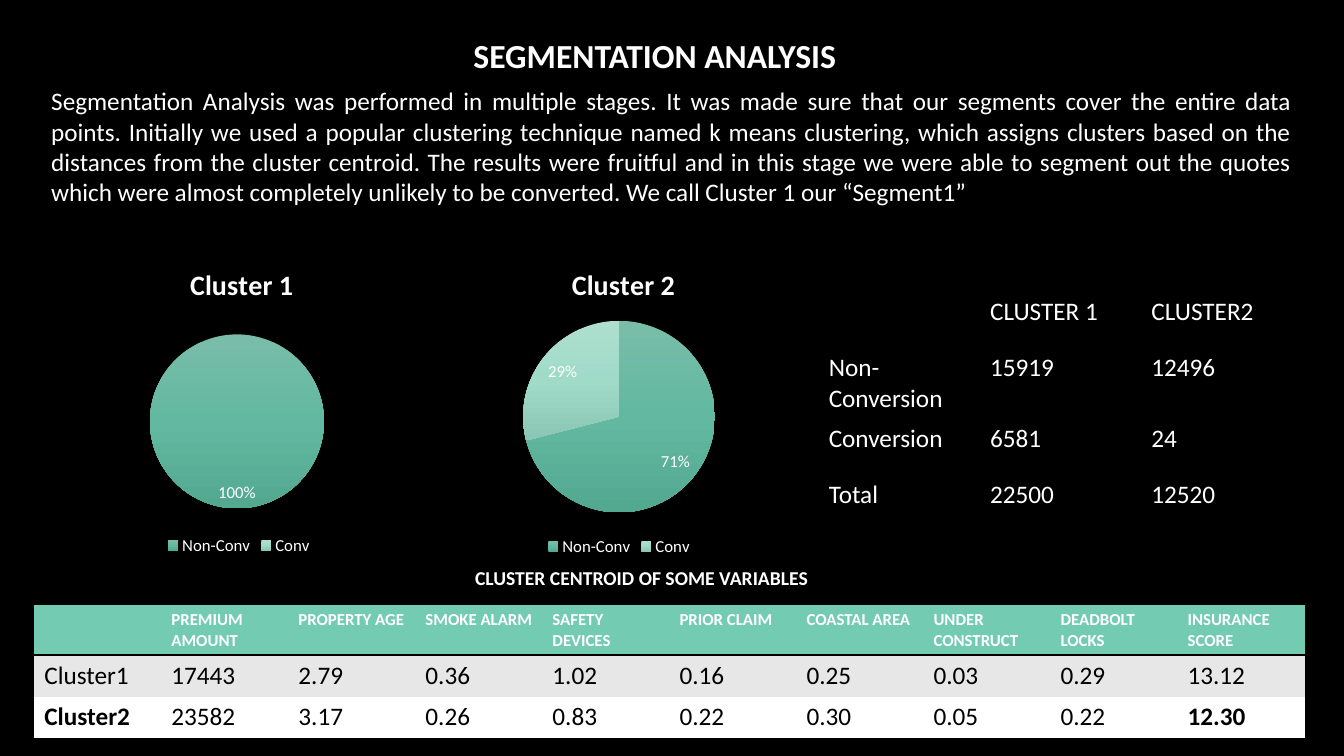
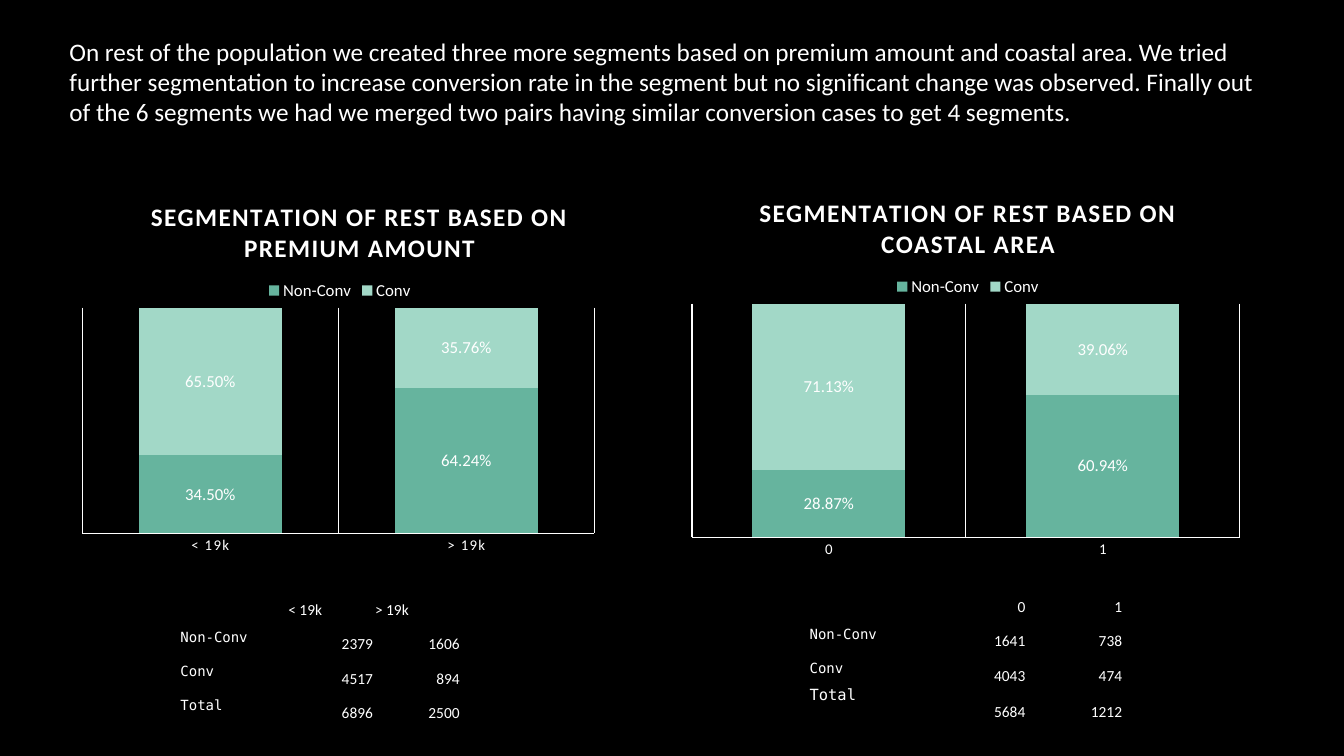
from copy import deepcopy
from lxml import etree
from pptx import Presentation
from pptx.chart.data import CategoryChartData
from pptx.dml.color import RGBColor
from pptx.enum import chart as ce, text as te
from pptx.oxml import ns
from pptx.util import Inches, Pt

# Shared look
FONT, MONO = "Calibri", "DejaVu Sans Mono"
WHITE, BLACK, MINT, GREY = "FFFFFF", "000000", "73CBB2", "E7E7E7"
GRADS = [("79BDA9", "62B8A0", "53A890"), ("AEDECE", "A0DBC8", "8AC6B3")]
BARS = ["66B49E", "A2D8C7"]
PLAIN = "{2D5ABB26-0587-4C30-8999-92F81FD0307C}"  # table style without grid
LEFT, MID, RIGHT, JUST = (te.PP_ALIGN.LEFT, te.PP_ALIGN.CENTER,
                          te.PP_ALIGN.RIGHT, te.PP_ALIGN.JUSTIFY)
TOP, CENTRE, BASE = (te.MSO_ANCHOR.TOP, te.MSO_ANCHOR.MIDDLE,
                     te.MSO_ANCHOR.BOTTOM)

# Content
TITLE = "SEGMENTATION ANALYSIS"
INTRO = (
    "Segmentation Analysis was performed in multiple stages. It was made sure "
    "that our segments cover the entire data points. Initially we used a "
    "popular clustering technique named k means clustering, which assigns "
    "clusters based on the distances from the cluster centroid. The results "
    "were fruitful and in this stage we were able to segment out the quotes "
    "which were almost completely unlikely to be converted. We call Cluster 1 "
    "our “Segment1”")
CAPTION = "CLUSTER CENTROID OF SOME VARIABLES"
REST = (
    "On rest of the population we created three more segments based on "
    "premium amount and coastal area. We tried further segmentation to "
    "increase conversion rate in the segment but no significant change was "
    "observed. Finally out of the 6 segments we had we merged two pairs "
    "having similar conversion cases to get 4 segments.")
KINDS = ["Non-Conv", "Conv"]
PIES = [
    dict(title="Cluster 1", box=(0.46, 2.39, 3.82, 3.16), vals=(100, 0),
         burst=8, head=(0.36, 0.06), plot=(0.25, 0.25, 0.49, 0.59)),
    dict(title="Cluster 2", box=(3.98, 2.39, 4.32, 3.17), vals=(71, 29),
         burst=0, head=(0.38, 0.06), plot=(0.28, 0.25, 0.44, 0.6)),
]
COUNTS = [
    ["", "CLUSTER 1", "CLUSTER2"],
    ["Non-Conversion", "15919", "12496"],
    ["Conversion", "6581", "24"],
    ["Total", "22500", "12520"],
]
CENTROIDS = [
    ["", "PREMIUM AMOUNT", "PROPERTY AGE", "SMOKE ALARM", "SAFETY DEVICES",
     "PRIOR CLAIM", "COASTAL AREA", "UNDER CONSTRUCT", "DEADBOLT LOCKS",
     "INSURANCE SCORE"],
    ["Cluster1", "17443", "2.79", "0.36", "1.02", "0.16", "0.25", "0.03",
     "0.29", "13.12"],
    ["Cluster2", "23582", "3.17", "0.26", "0.83", "0.22", "0.30", "0.05",
     "0.22", "12.30"],
]
SPLITS = [
    dict(title="SEGMENTATION OF REST BASED ON PREMIUM AMOUNT",
         box=(0.71, 1.74, 5.29, 3.86), cats=["< 19k", "> 19k"],
         vals=[(0.345, 0.6424), (0.655, 0.3576)], head=(0.14, 0.05),
         key=(0.36, 0.26), plot=(0.02, 0.34, 0.96, 0.58),
         at=(1.78, 5.81), cols=(1.07, 0.86, 0.86), rows=[0.34] * 4,
         sums=[("2379", "1606"), ("4517", "894"), ("6896", "2500")],
         align=LEFT, total=dict(size=10, anchor=CENTRE)),
    dict(title="SEGMENTATION OF REST BASED ON COASTAL AREA",
         box=(6.75, 1.74, 5.66, 3.86), cats=["0", "1"],
         vals=[(0.2887, 0.6094), (0.7113, 0.3906)], head=(0.13, 0.04),
         key=(0.37, 0.25), plot=(0.02, 0.33, 0.96, 0.6),
         at=(8.02, 5.78), cols=(1.2, 0.96, 0.96), rows=[0.34] * 3 + [0.36],
         sums=[("1641", "738"), ("4043", "474"), ("5684", "1212")],
         align=RIGHT, total=dict(size=11, anchor=TOP)),
]


# Text
def rgb(hue):
    return RGBColor.from_string(hue)


def style(font, size, color=WHITE, bold=False, name=FONT):
    font.size, font.bold, font.name = Pt(size), bold, name
    font.color.rgb = rgb(color)


def write(frame, words, size=18, color=WHITE, bold=False, name=FONT,
          align=LEFT, track=0):
    para = frame.paragraphs[0]
    para.alignment = align
    if words:
        run = para.add_run()
        run.text = words
        style(run.font, size, color, bold, name)
        if track:
            run.font._element.set("spc", str(track))


def label(slide, box, words, **form):
    frame = slide.shapes.add_textbox(*map(Inches, box)).text_frame
    frame.word_wrap = True
    write(frame, words, **form)


# Tables: look(row, col) gives the format of one cell
def grid(slide, at, cols, rows, data, look):
    size = map(Inches, (*at, sum(cols), sum(rows)))
    table = slide.shapes.add_table(len(rows), len(cols), *size).table
    table.first_row = table.horz_banding = False
    table._tbl.tblPr.find(ns.qn("a:tableStyleId")).text = PLAIN
    for col, width in zip(table.columns, cols):
        col.width = Inches(width)
    for r, line in enumerate(data):
        table.rows[r].height = Inches(rows[r])
        for c, words in enumerate(line):
            cell, form = table.cell(r, c), dict(look(r, c))
            fill, pad = form.pop("fill", None), form.pop("pad", None)
            cell.vertical_anchor = form.pop("anchor", TOP)
            if pad is not None:
                cell.margin_left = cell.margin_right = Inches(pad)
                cell.margin_top, cell.margin_bottom = Inches(pad), 0
            if fill:
                cell.fill.solid()
                cell.fill.fore_color.rgb = rgb(fill)
            else:
                cell.fill.background()
            write(cell.text_frame, words, **form)
    return table


def rule(cell, color, width):
    edge = etree.Element(ns.qn("a:lnB"), w=str(Pt(width)))
    solid = etree.SubElement(edge, ns.qn("a:solidFill"))
    etree.SubElement(solid, ns.qn("a:srgbClr"), val=color)
    cell._tc.get_or_add_tcPr().insert(0, edge)


# Charts
def place(part, index, spots, inner=False):
    for old in part.findall(ns.qn("c:layout")):
        part.remove(old)
    layout = etree.Element(ns.qn("c:layout"))
    man = etree.SubElement(layout, ns.qn("c:manualLayout"))
    tags = [("layoutTarget", "inner")] if inner else []
    tags += [("xMode", "edge"), ("yMode", "edge"), *zip("xywh", spots)]
    for tag, val in tags:
        etree.SubElement(man, ns.qn("c:" + tag), val=str(val))
    part.insert(index, layout)


def draw(slide, kind, item, cats, series, size, key, **form):
    data = CategoryChartData()
    data.categories = cats
    for name, vals in series:
        data.add_series(name, vals)
    box = map(Inches, item["box"])
    chart = slide.shapes.add_chart(kind, *box, data).chart
    style(chart.font, 10)
    chart.has_title = True
    write(chart.chart_title.text_frame, item["title"], size=size, bold=True,
          align=MID, **form)
    chart.chart_title.include_text_frame = True
    place(chart.chart_title._element, 1, item["head"])
    chart.has_legend = True
    chart.legend.position = key
    chart.legend.include_in_layout = False
    style(chart.legend.font, 12)
    if "key" in item:
        place(chart.legend._element, 1, item["key"])
    place(chart._chartSpace.chart.plotArea, 0, item["plot"], inner=True)
    plot = chart.plots[0]
    plot.has_data_labels = True
    style(plot.data_labels.font, 12)
    return chart, plot


def pie(slide, item):
    chart, plot = draw(slide, ce.XL_CHART_TYPE.PIE, item, KINDS,
                       [("Series 1", item["vals"])], 20,
                       ce.XL_LEGEND_POSITION.BOTTOM)
    plot.vary_by_categories = True
    tags = plot.data_labels
    tags.show_percentage, tags.show_value = True, False
    tags.position = ce.XL_LABEL_POSITION.INSIDE_END
    ser = plot.series[0]
    for i, hues in enumerate(GRADS):
        fill = ser.points[i].format.fill
        fill.gradient()
        fill.gradient_angle = 270
        last = fill.gradient_stops[1]._gs
        last.addprevious(deepcopy(last))
        for n, (stop, hue) in enumerate(zip(fill.gradient_stops, hues)):
            stop.color.rgb, stop.position = rgb(hue), n / 2
    if item["burst"]:
        burst = etree.Element(ns.qn("c:explosion"), val=str(item["burst"]))
        ser._element.find(ns.qn("c:dPt")).addprevious(burst)


def bars(slide, item):
    chart, plot = draw(slide, ce.XL_CHART_TYPE.COLUMN_STACKED_100, item,
                       item["cats"], zip(KINDS, item["vals"]), 18,
                       ce.XL_LEGEND_POSITION.TOP, track=100)
    plot.vary_by_categories = False
    plot.gap_width, plot.overlap = 79, 100
    tags = plot.data_labels
    tags.show_value, tags.number_format = True, "0.00%"
    tags.number_format_is_linked = False
    tags.position = ce.XL_LABEL_POSITION.CENTER
    for ser, hue in zip(plot.series, BARS):
        ser.format.fill.solid()
        ser.format.fill.fore_color.rgb = rgb(hue)
    axis = chart.category_axis
    axis.major_tick_mark = ce.XL_TICK_MARK.NONE
    axis.has_major_gridlines = True
    for line in (axis.format.line, axis.major_gridlines.format.line):
        line.color.rgb, line.width = rgb(WHITE), Pt(0.75)
    style(axis.tick_labels.font, 10.6)
    axis.tick_labels.font._element.set("spc", "100")
    chart.value_axis.has_major_gridlines = False
    chart.value_axis.visible = False


# Cell formats
def centroid(r, c):
    if r == 0:
        return dict(size=12, bold=True, fill=MINT)
    return dict(color=BLACK, fill=(GREY, WHITE)[r - 1],
                bold=r == 2 and c in (0, 9))


def tally(item):
    def look(r, c):
        if c == 0:
            form = item["total"] if r == 3 else dict(size=10, anchor=CENTRE)
            return dict(form, name=MONO, pad=0.01)
        return dict(size=11, anchor=BASE, pad=0.01,
                    align=RIGHT if r else item["align"])
    return look


# Slides
def main():
    deck = Presentation()
    deck.slide_width, deck.slide_height = Inches(13.33), Inches(7.5)
    back = deck.slide_master.background.fill
    back.solid()
    back.fore_color.rgb = rgb(BLACK)

    # Clusters
    slide = deck.slides.add_slide(deck.slide_layouts[5])
    head = slide.shapes.title
    head.left, head.top, head.width, head.height = map(
        Inches, (3.76, 0.3, 5.47, 0.5))
    head.text_frame.vertical_anchor = TOP
    write(head.text_frame, TITLE, size=24, bold=True, align=MID)
    label(slide, (0.41, 0.8, 12.5, 1.31), INTRO, align=JUST)
    for item in PIES:
        pie(slide, item)
    grid(slide, (8.12, 2.89), [1.6] * 3, [0.56, 0.7, 0.56, 0.56], COUNTS,
         lambda r, c: {})
    label(slide, (3.63, 5.57, 5.47, 0.34), CAPTION, size=14, bold=True,
          align=MID)
    table = grid(slide, (0.34, 6), [1.26] * 10, [0.49, 0.41, 0.41],
                 CENTROIDS, centroid)
    for c in range(10):
        rule(table.cell(0, c), BLACK, 2)

    # Splits of the rest
    slide = deck.slides.add_slide(deck.slide_layouts[6])
    label(slide, (0.59, 0.31, 12.07, 1.01), REST)
    for item in SPLITS:
        bars(slide, item)
        names = KINDS + ["Total"]
        data = [["", *item["cats"]]]
        data += [[name, *sums] for name, sums in zip(names, item["sums"])]
        grid(slide, item["at"], item["cols"], item["rows"], data, tally(item))
    deck.save("out.pptx")


if __name__ == "__main__":
    main()
